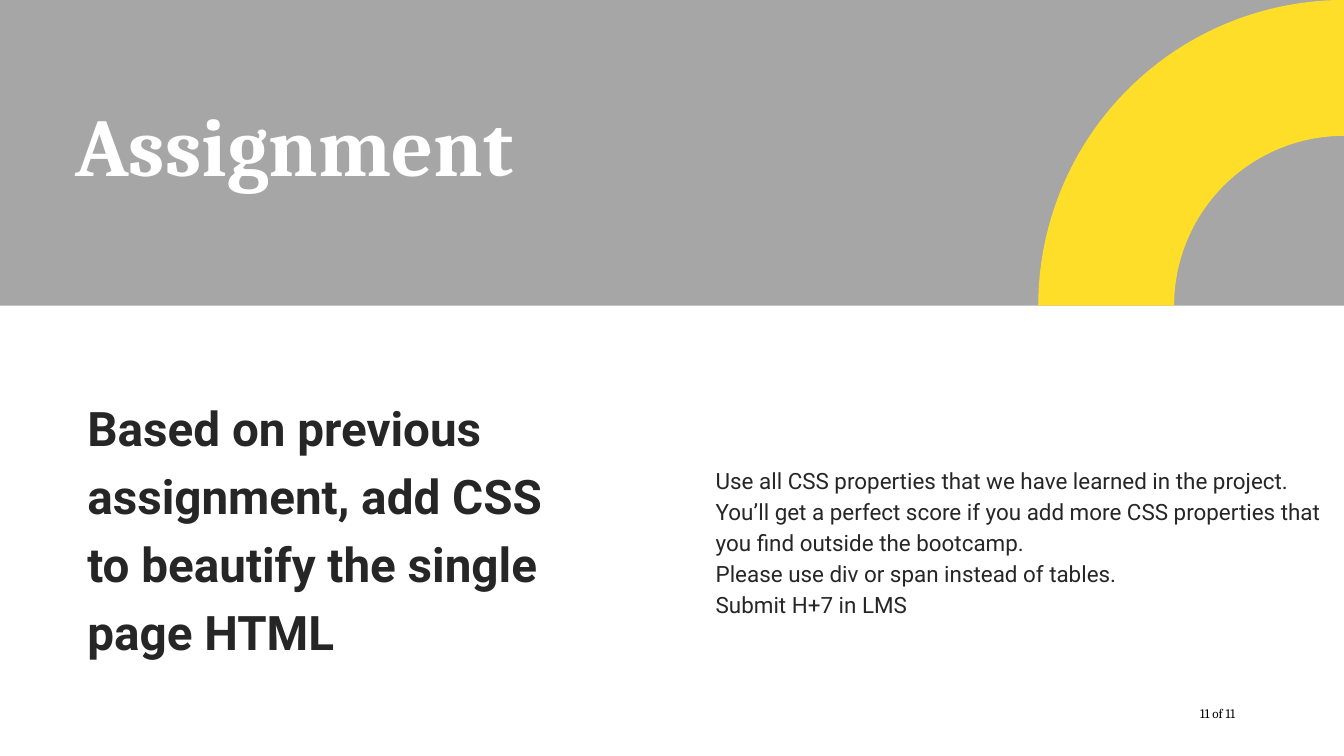
from dataclasses import dataclass
from math import cos, pi, sin

from pptx import Presentation
from pptx.dml.color import RGBColor
from pptx.enum.shapes import MSO_SHAPE as Preset
from pptx.enum.text import MSO_AUTO_SIZE as AutoSize
from pptx.util import Inches, Pt

WIDTH, HEIGHT = Inches(20), Inches(11.25)
BANNER = 40.44  # percent of the slide's height


@dataclass(frozen=True)
class Theme:
    band: str = "A6A6A6"
    accent: str = "FFDE2A"
    light: str = "FFFFFF"
    ink: str = "262626"
    black: str = "000000"
    serif: str = "Cambria"
    sans: str = "Roboto"
    title: int = 88
    lead: int = 51
    body: int = 24
    footer: int = 14


class SlideBuilder:
    """Draws on one slide; places and sizes are percentages of the slide."""

    def __init__(self, slide, theme):
        self.slide = slide
        self.theme = theme

    def paint(self, shape, color):
        shape.shadow.inherit = False
        shape.fill.solid()
        shape.fill.fore_color.rgb = RGBColor.from_string(color)
        shape.line.fill.background()

    def banner(self, height):
        band = self.slide.shapes.add_shape(
            Preset.RECTANGLE, 0, 0, WIDTH, round(HEIGHT * height / 100))
        self.paint(band, self.theme.band)

    def quarter_ring(self, height, hole, steps=90):
        """Quarter ring around the banner's lower right corner; hole is the inner share of the radius."""
        radius = HEIGHT * height / 100

        def arc(size):
            angles = (pi / 2 * step / steps for step in range(steps + 1))
            return [(round(WIDTH - size * cos(a)), round(radius - size * sin(a)))
                    for a in angles]

        outline = arc(radius) + arc(radius * hole)[::-1]
        builder = self.slide.shapes.build_freeform(*outline[0])
        builder.add_line_segments(outline[1:], close=True)
        self.paint(builder.convert_to_shape(), self.theme.accent)

    def text(self, place, lines, size, font, color, bold=False, spacing=None,
             insets=(0.01, 0.01, 0, 0)):
        left, top, width, height = place
        box = self.slide.shapes.add_textbox(
            round(WIDTH * left / 100), round(HEIGHT * top / 100),
            round(WIDTH * width / 100), round(HEIGHT * height / 100))
        frame = box.text_frame
        frame.word_wrap = True
        frame.auto_size = AutoSize.SHAPE_TO_FIT_TEXT
        (frame.margin_left, frame.margin_top,
         frame.margin_right, frame.margin_bottom) = map(Inches, insets)
        paragraph = frame.paragraphs[0]
        if spacing:
            paragraph.line_spacing = spacing
        for index, line in enumerate(lines):
            if index:
                paragraph.add_line_break()
            run = paragraph.add_run()
            run.text = line
            run.font.size = Pt(size)
            run.font.name = font
            run.font.bold = bold
            run.font.color.rgb = RGBColor.from_string(color)


def main():
    deck = Presentation()
    deck.slide_width, deck.slide_height = WIDTH, HEIGHT
    theme = Theme()
    page = SlideBuilder(deck.slides.add_slide(deck.slide_layouts[6]), theme)

    page.banner(BANNER)
    page.quarter_ring(BANNER, hole=5 / 9)

    requirements = [
        "Use all CSS properties that we have learned in the project.",
        "You’ll get a perfect score if you add more CSS properties that you find outside the bootcamp.",
        "Please use div or span instead of tables.",
        "Submit H+7 in LMS",
    ]
    page.text((53.2, 61.16, 45.9, 20.27), requirements,
              theme.body, theme.sans, theme.ink, spacing=1.15)
    page.text((6.45, 50.93, 34, 35.29),
              ["Based on previous assignment, add CSS to beautify the single page HTML"],
              theme.lead, theme.sans, theme.ink, bold=True, spacing=1.19,
              insets=(0.01, 0.05, 0, 0))
    page.text((5.55, 12.44, 48.1, 13.33), ["Assignment"],
              theme.title, theme.serif, theme.light, bold=True)
    page.text((88.8, 92.44, 4.7, 3.91), ["11 of 11"],
              theme.footer, theme.serif, theme.black, insets=(0.1,) * 4)

    deck.save("out.pptx")


if __name__ == "__main__":
    main()
